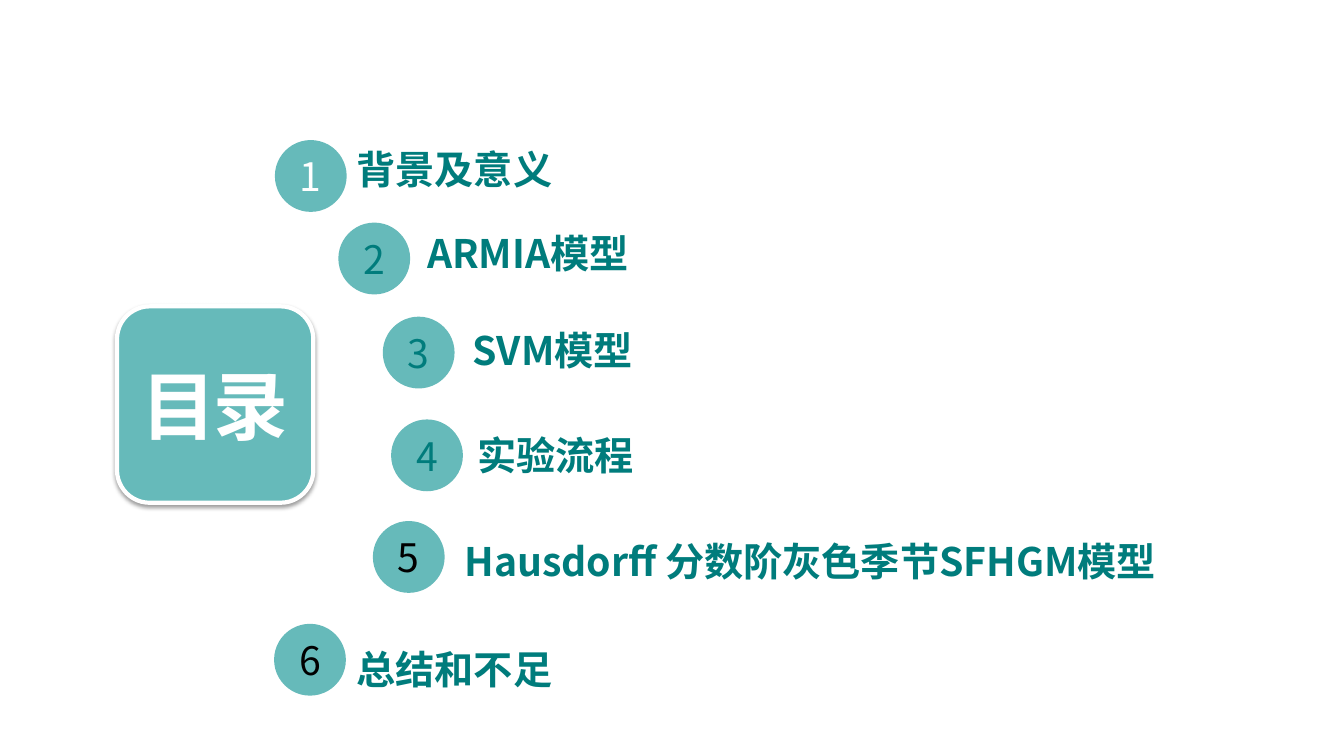
from lxml.etree import SubElement
from pptx import Presentation
from pptx.dml.color import RGBColor
from pptx.enum.shapes import MSO_SHAPE
from pptx.enum.text import MSO_ANCHOR, PP_ALIGN
from pptx.oxml.ns import qn
from pptx.util import Cm, Pt

TEAL = RGBColor(0x66, 0xBA, 0xBA)
DEEP = RGBColor(0x00, 0x7C, 0x7C)
WHITE = RGBColor(0xFF, 0xFF, 0xFF)
BLACK = RGBColor(0x00, 0x00, 0x00)
FONT = "Noto Sans CJK SC"
DISC = 1.81

ITEMS = [
    ((6.93, 3.53), WHITE, "背景及意义", (1.81, 0), 10.26),
    ((8.53, 5.61), DEEP, "ARMIA模型", (1.99, 0.05), 13.36),
    ((9.65, 7.98), DEEP, "SVM模型", (2.01, 0.12), 11.05),
    ((9.86, 10.57), DEEP, "实验流程", (1.93, 0.17), 8.92),
    ((9.4, 13.13), BLACK, "Hausdorff 分数阶灰色季节SFHGM模型", (2.06, 0.28), 19.28),
    ((6.91, 15.72), BLACK, "总结和不足", (1.83, 0.41), 7.95),
]


def write(frame, text, size, color, bold=False):
    """Put one run of text in a frame and return it."""
    run = frame.paragraphs[0].add_run()
    run.text = text
    font = run.font
    font.size, font.bold, font.name = Pt(size), bold, FONT
    font.color.rgb = color
    SubElement(font._element, qn("a:ea"), typeface=FONT)
    return run


def block(slide, kind, x, y, side):
    """Add a square teal shape with centred text and no line."""
    shape = slide.shapes.add_shape(kind, Cm(x), Cm(y), Cm(side), Cm(side))
    shape.shadow.inherit = False
    shape.fill.solid()
    shape.fill.fore_color.rgb = TEAL
    shape.line.fill.background()
    frame = shape.text_frame
    frame.margin_left = frame.margin_right = 0
    frame.margin_top = frame.margin_bottom = 0
    frame.vertical_anchor = MSO_ANCHOR.MIDDLE
    frame.paragraphs[0].alignment = PP_ALIGN.CENTER
    return shape


def badge(slide, x, y, side):
    """Add the title badge with its white rim and soft shadow."""
    shape = block(slide, MSO_SHAPE.ROUNDED_RECTANGLE, x, y, side)
    shape.line.color.rgb = WHITE
    shape.line.width = Pt(3)
    run = write(shape.text_frame, "目录", 53.4, WHITE, True)
    run.font._element.set("spc", "-200")
    effects = shape._element.spPr.find(qn("a:effectLst"))
    shade = SubElement(effects, qn("a:outerShdw"), blurRad=str(Pt(3.1)),
                       dist=str(Pt(1.6)), dir="5400000", rotWithShape="0")
    tint = SubElement(shade, qn("a:srgbClr"), val=str(BLACK))
    SubElement(tint, qn("a:alpha"), val="38000")


def item(slide, spot, num, color, text, shift, width):
    """Add a numbered disc at a spot, with its label beside it."""
    x, y = spot
    disc = block(slide, MSO_SHAPE.OVAL, x, y, DISC)
    write(disc.text_frame, str(num), 28, color)
    dx, dy = shift
    label = slide.shapes.add_textbox(Cm(x + dx), Cm(y + dy), Cm(width), Cm(1.45))
    label.text_frame.word_wrap = True
    write(label.text_frame, text, 28, DEEP, True)


def main():
    """Build the contents slide and save it."""
    deck = Presentation()
    deck.slide_width, deck.slide_height = Cm(33.88), Cm(19.05)
    slide = deck.slides.add_slide(deck.slide_layouts[6])
    badge(slide, 2.95, 7.72, 4.95)
    for num, (spot, color, text, shift, width) in enumerate(ITEMS, 1):
        item(slide, spot, num, color, text, shift, width)
    deck.save("out.pptx")


if __name__ == "__main__":
    main()
